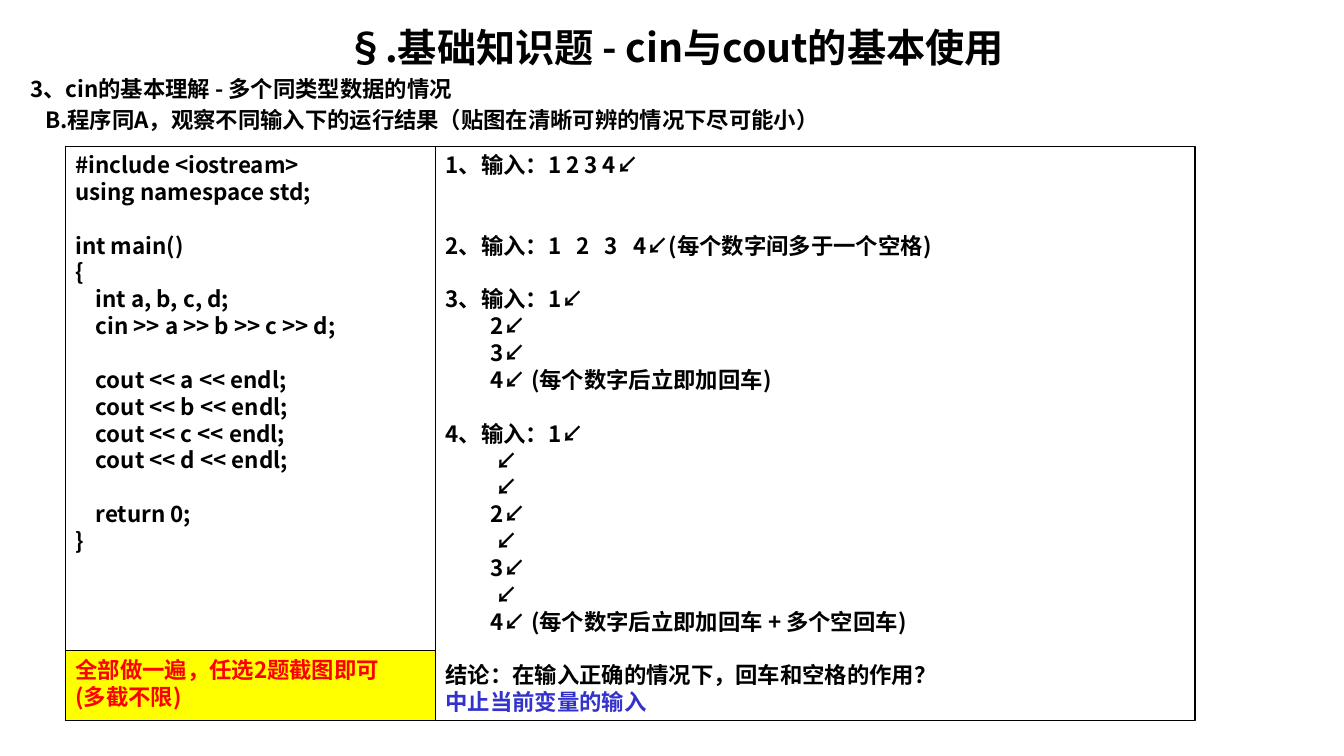
"""Build the exercise slide on reading several values with cin."""
from dataclasses import dataclass

from pptx import Presentation
from pptx.dml.color import RGBColor
from pptx.enum.shapes import MSO_SHAPE
from pptx.enum.text import MSO_ANCHOR, PP_ALIGN
from pptx.oxml.ns import qn
from pptx.util import Pt


@dataclass(frozen=True)
class Theme:
    font: str = "Noto Sans CJK SC"
    ink: str = "000000"
    warning: str = "FF0000"
    answer: str = "3333CC"
    highlight: str = "FFFF00"
    title_size: int = 28
    body_size: int = 16
    line_factor: float = 1.2
    line_width: float = 0.75
    space_width: float = 3.57


@dataclass(frozen=True)
class Line:
    text: str
    gap: float = 0
    indent: int = 0
    color: str = Theme.ink
    size: int = Theme.body_size
    align: PP_ALIGN = PP_ALIGN.LEFT


HEADING_GAP = 1 / 6
HEADING = [
    Line("§.基础知识题 - cin与cout的基本使用", size=Theme.title_size, align=PP_ALIGN.CENTER),
    Line("3、cin的基本理解 - 多个同类型数据的情况", HEADING_GAP),
    Line("B.程序同A，观察不同输入下的运行结果（贴图在清晰可辨的情况下尽可能小）", HEADING_GAP, 3),
]
CODE = [
    Line("#include <iostream>"),
    Line("using namespace std;"),
    Line("int main()", 1),
    Line("{"),
    Line("    int a, b, c, d;"),
    Line("    cin >> a >> b >> c >> d;"),
    Line("    cout << a << endl;", 1),
    Line("    cout << b << endl;"),
    Line("    cout << c << endl;"),
    Line("    cout << d << endl;"),
    Line("    return 0;", 1),
    Line("}"),
]
EMPTY_ENTER = Line("↙", indent=10)
QUESTIONS = [
    Line("1、输入：1 2 3 4↙"),
    Line("2、输入：1   2   3   4↙(每个数字间多于一个空格)", 2),
    Line("3、输入：1↙", 1),
    Line("2↙", indent=9),
    Line("3↙", indent=9),
    Line("4↙ (每个数字后立即加回车)", indent=9),
    Line("4、输入：1↙", 1),
    EMPTY_ENTER,
    EMPTY_ENTER,
    Line("2↙", indent=9),
    EMPTY_ENTER,
    Line("3↙", indent=9),
    EMPTY_ENTER,
    Line("4↙ (每个数字后立即加回车 + 多个空回车)", indent=9),
    Line("结论：在输入正确的情况下，回车和空格的作用？", 1),
    Line("中止当前变量的输入", color=Theme.answer),
]
REMINDER = [
    Line("全部做一遍，任选2题截图即可", color=Theme.warning),
    Line("(多截不限)", color=Theme.warning),
]

SLIDE_WIDTH, SLIDE_HEIGHT = 960, 540
LEFT, TOP, WIDTH, HEIGHT = 46.8, 104.4, 806.8, 410.4
CODE_WIDTH = 264.4
REMINDER_HEIGHT = 49.9
HEADING_BOX = (14.4, 13, 935.3, 90)
FRAMES = [
    ((LEFT, TOP, CODE_WIDTH, HEIGHT), CODE, None),
    ((LEFT + CODE_WIDTH, TOP, WIDTH - CODE_WIDTH, HEIGHT), QUESTIONS, None),
    ((LEFT, TOP + HEIGHT - REMINDER_HEIGHT, CODE_WIDTH, REMINDER_HEIGHT), REMINDER, Theme.highlight),
]


def write_lines(shape, lines):
    frame = shape.text_frame
    frame.word_wrap = True
    frame.vertical_anchor = MSO_ANCHOR.TOP
    for index, line in enumerate(lines):
        paragraph = frame.add_paragraph() if index else frame.paragraphs[0]
        line_height = line.size * Theme.line_factor
        paragraph_format = {
            "alignment": line.align,
            "line_spacing": Pt(line_height),
            "space_before": Pt(line.gap * line_height),
        }
        for name, value in paragraph_format.items():
            setattr(paragraph, name, value)
        if line.indent:
            margin = Pt(line.indent * Theme.space_width)
            paragraph._p.get_or_add_pPr().set("marL", str(margin))
        run = paragraph.add_run()
        run.text = line.text
        font_format = {"name": Theme.font, "size": Pt(line.size), "bold": True}
        for name, value in font_format.items():
            setattr(run.font, name, value)
        run.font.color.rgb = RGBColor.from_string(line.color)
        properties = run._r.get_or_add_rPr()
        east_asian = properties.makeelement(qn("a:ea"), {"typeface": Theme.font})
        properties.find(qn("a:latin")).addnext(east_asian)


def add_frame(slide, box, lines, fill):
    shape = slide.shapes.add_shape(MSO_SHAPE.RECTANGLE, *map(Pt, box))
    shape.shadow.inherit = False
    if fill:
        shape.fill.solid()
        shape.fill.fore_color.rgb = RGBColor.from_string(fill)
    else:
        shape.fill.background()
    shape.line.color.rgb = RGBColor.from_string(Theme.ink)
    shape.line.width = Pt(Theme.line_width)
    write_lines(shape, lines)


def main():
    presentation = Presentation()
    presentation.slide_width = Pt(SLIDE_WIDTH)
    presentation.slide_height = Pt(SLIDE_HEIGHT)
    slide = presentation.slides.add_slide(presentation.slide_layouts[6])
    add_frame(slide, (LEFT, TOP, WIDTH, HEIGHT), [], None)
    write_lines(slide.shapes.add_textbox(*map(Pt, HEADING_BOX)), HEADING)
    for box, lines, fill in FRAMES:
        add_frame(slide, box, lines, fill)
    presentation.save("out.pptx")


if __name__ == "__main__":
    main()
